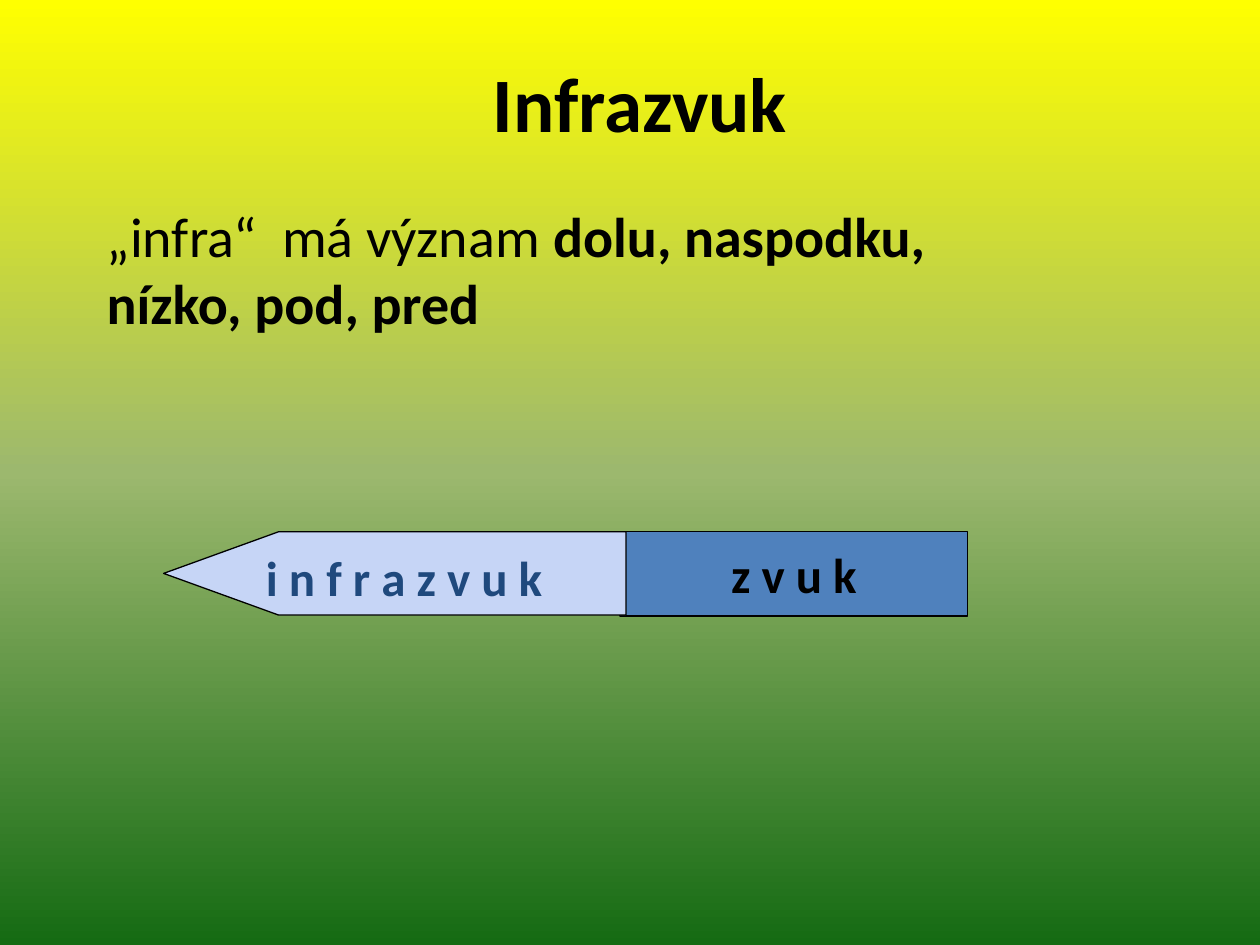
from copy import deepcopy

from pptx import Presentation
from pptx.dml.color import RGBColor
from pptx.enum.shapes import MSO_SHAPE
from pptx.enum.text import MSO_ANCHOR, PP_ALIGN
from pptx.oxml.ns import qn
from pptx.util import Cm, Pt

RECTANGLE, PENTAGON = MSO_SHAPE.RECTANGLE, MSO_SHAPE.PENTAGON
TOP, MIDDLE = MSO_ANCHOR.TOP, MSO_ANCHOR.MIDDLE
LEFT, CENTER = PP_ALIGN.LEFT, PP_ALIGN.CENTER

COLORS = {
    "yellow": "FFFF00",
    "olive": "9CB86E",
    "green": "156B13",
    "black": "000000",
    "blue": "4F81BD",
    "pale blue": "C6D5F6",
    "navy": "1F497D",
}


def color(name):
    return RGBColor.from_string(COLORS[name])


def write(shape, spans, size, ink="black", align=LEFT, anchor=TOP, wrap=True):
    """Fill a shape with one paragraph of (text, bold) spans."""
    frame = shape.text_frame
    frame.word_wrap = wrap
    frame.vertical_anchor = anchor
    para = frame.paragraphs[0]
    para.alignment = align
    for text, bold in spans:
        span = para.add_run()
        span.text = text
        span.font.color.rgb = color(ink)
        formats = {"name": "Calibri", "size": Pt(size), "bold": bold}
        for key, value in formats.items():
            setattr(span.font, key, value)


deck = Presentation()
deck.slide_width, deck.slide_height = Cm(25.4), Cm(19.05)
page = deck.slides.add_slide(deck.slide_layouts[6])

# Background gradient, top to bottom
background = page.background.fill
background.gradient()
background.gradient_angle = 270
first_stop = next(page.element.iter(qn("a:gs")))
first_stop.addnext(deepcopy(first_stop))
stops = [("yellow", 0), ("olive", 0.5), ("green", 1)]
for stop, (name, position) in zip(background.gradient_stops, stops):
    stop.color.rgb = color(name)
    stop.position = position

# Title and explanation
title = page.shapes.add_textbox(Cm(2.11), Cm(0), Cm(21.59), Cm(4.09))
write(title, [("Infrazvuk", True)], 44, align=CENTER, anchor=MIDDLE)

meaning = page.shapes.add_textbox(Cm(1.9), Cm(3.94), Cm(17.78), Cm(4.88))
write(meaning, [("„infra“  má význam ", False),
                ("dolu, naspodku, nízko, pod, pred", True)], 32)

# Sound bar with the infrasound arrow pointing left
blocks = []
for kind, left, width, height, fill in [
    (RECTANGLE, 12.5, 7.01, 1.7, "blue"),
    (PENTAGON, 3.3, 9.32, 1.68, "pale blue"),
]:
    block = page.shapes.add_shape(kind, Cm(left), Cm(10.72), Cm(width), Cm(height))
    block.shadow.inherit = False
    block.fill.solid()
    block.fill.fore_color.rgb = color(fill)
    block.line.color.rgb = color("black")
    block.line.width = Pt(0.75)
    blocks.append(block)

sound, infrasound = blocks
write(sound, [("z v u k", True)], 28, align=CENTER, anchor=MIDDLE, wrap=False)
infrasound.adjustments[0] = 1.38
infrasound.element.spPr.find(qn("a:xfrm")).set("flipH", "1")

label = page.shapes.add_textbox(Cm(5.11), Cm(10.92), Cm(7.42), Cm(1.45))
write(label, [("i n f r a z v u k", True)], 28, ink="navy")

deck.save("out.pptx")
